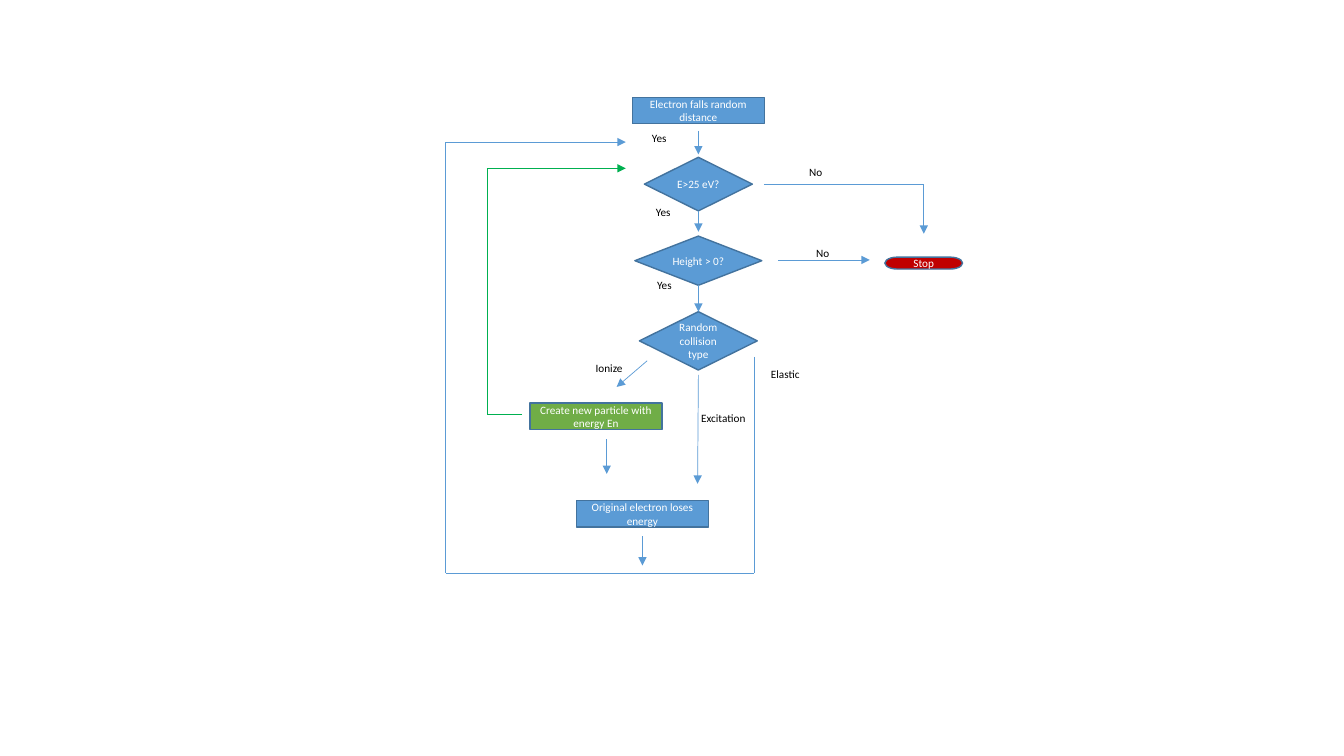
"""Build a flowchart slide of an electron's collisions while it falls."""
from itertools import pairwise

from lxml import etree
from pptx import Presentation
from pptx.dml.color import RGBColor
from pptx.enum import shapes, text
from pptx.oxml import ns
from pptx.util import Cm, Pt

BLUE = RGBColor(0x5B, 0x9B, 0xD5)
OUTLINE = RGBColor(0x43, 0x73, 0x9E)
LEAF = RGBColor(0x70, 0xAD, 0x47)
GREEN = RGBColor(0x00, 0xB0, 0x50)
RED = RGBColor(0xC0, 0x00, 0x00)
WHITE = RGBColor(0xFF, 0xFF, 0xFF)
BLACK = RGBColor(0x00, 0x00, 0x00)

PROCESS = shapes.MSO_SHAPE.FLOWCHART_PROCESS
DECISION = shapes.MSO_SHAPE.FLOWCHART_DECISION
TERMINATOR = shapes.MSO_SHAPE.FLOWCHART_TERMINATOR
TOP, BOTTOM = 0, 2
AXIS = 17.6
STOP_X = 23.28
LABEL_HEIGHT = 0.61
PROCESS_SIZE = (3.33, 0.66)

# wording, form, fill, centre, size
STEPS = [
    ("Electron falls random distance", PROCESS, BLUE, (AXIS, 2.79), PROCESS_SIZE),
    ("E>25 eV?", DECISION, BLUE, (AXIS, 4.64), (2.72, 1.35)),
    ("Height > 0?", DECISION, BLUE, (AXIS, 6.57), (3.2, 1.24)),
    ("Random collision type", DECISION, BLUE, (AXIS, 8.59), (2.97, 1.47)),
    ("Create new particle with energy En", PROCESS, LEAF, (15.02, 10.49), PROCESS_SIZE),
    ("Original electron loses energy", PROCESS, BLUE, (16.19, 12.95), PROCESS_SIZE),
    ("Stop", TERMINATOR, RED, (STOP_X, 6.63), (1.96, 0.3)),
]
LABELS = [
    ("Yes", 16.18, 3.18, 1.12),
    ("Yes", 16.28, 5.05, 0.91),
    ("Yes", 16.31, 6.88, 0.99),
    ("No", 20.14, 4.04, 0.86),
    ("No", 20.32, 6.07, 0.99),
    ("Ionize", 14.76, 8.99, 1.6),
    ("Excitation", 17.42, 10.24, 1.78),
    ("Elastic", 19.18, 9.12, 1.63),
]
ROUTES = [
    (BLUE, [(AXIS, 3.3), (AXIS, 3.89)]),
    (BLUE, [(16.31, 9.09), (15.54, 9.75)]),
    (BLUE, [(AXIS, 9.45), (17.58, 12.19)]),
    (BLUE, [(19.25, 4.65), (STOP_X, 4.65), (STOP_X, 5.89)]),
    (BLUE, [(19.61, 6.55), (21.92, 6.55)]),
    (BLUE, [(15.29, 11.07), (15.29, 11.94)]),
    (BLUE, [(16.19, 13.51), (16.19, 14.25)]),
    (BLUE, [(19, 8.99), (19, 14.44), (11.23, 14.44), (11.23, 3.58), (15.77, 3.58)]),
    (GREEN, [(13.16, 10.44), (12.27, 10.44), (12.27, 4.24), (15.77, 4.24)]),
]


def write(frame, wording, colour):
    frame.word_wrap = True
    frame.text = wording
    paragraph = frame.paragraphs[0]
    paragraph.font.name = "Calibri"
    paragraph.font.size = Pt(8)
    paragraph.font.color.rgb = colour
    return paragraph


def add_step(slide, wording, form, fill, centre, size):
    (x, y), (width, height) = centre, size
    step = slide.shapes.add_shape(
        form, Cm(x - width / 2), Cm(y - height / 2), Cm(width), Cm(height))
    step.shadow.inherit = False
    step.fill.solid()
    step.fill.fore_color.rgb = fill
    step.line.color.rgb = OUTLINE
    step.line.width = Pt(1)
    frame = step.text_frame
    frame.margin_left = frame.margin_right = Cm(0.13)
    frame.margin_top = frame.margin_bottom = Cm(0.07)
    frame.vertical_anchor = text.MSO_ANCHOR.MIDDLE
    write(frame, wording, WHITE).alignment = text.PP_ALIGN.CENTER
    return step


def add_label(slide, wording, left, top, width):
    label = slide.shapes.add_textbox(Cm(left), Cm(top), Cm(width), Cm(LABEL_HEIGHT))
    write(label.text_frame, wording, BLACK)


def add_line(slide, colour, start, end, arrow):
    line = slide.shapes.add_connector(
        shapes.MSO_CONNECTOR.STRAIGHT, *(Cm(value) for value in (*start, *end)))
    line.line.color.rgb = colour
    line.line.width = Pt(0.5)
    if arrow:
        etree.SubElement(line.line._get_or_add_ln(), ns.qn("a:tailEnd"), type="triangle")
    etree.SubElement(line._element.spPr, ns.qn("a:effectLst"))
    return line


def main():
    deck = Presentation()
    deck.slide_width, deck.slide_height = Cm(33.87), Cm(19.05)
    slide = deck.slides.add_slide(deck.slide_layouts[6])

    _, energy, height, collision, *_ = [add_step(slide, *step) for step in STEPS]

    to_height = add_line(slide, BLUE, (AXIS, 5.32), (AXIS, 5.84), True)
    to_height.begin_connect(energy, BOTTOM)
    to_collision = add_line(slide, BLUE, (AXIS, 7.2), (AXIS, 7.85), True)
    to_collision.begin_connect(height, BOTTOM)
    to_collision.end_connect(collision, TOP)

    for colour, points in ROUTES:
        for start, end in pairwise(points):
            add_line(slide, colour, start, end, end == points[-1])

    for label in LABELS:
        add_label(slide, *label)

    deck.save("out.pptx")


if __name__ == "__main__":
    main()
